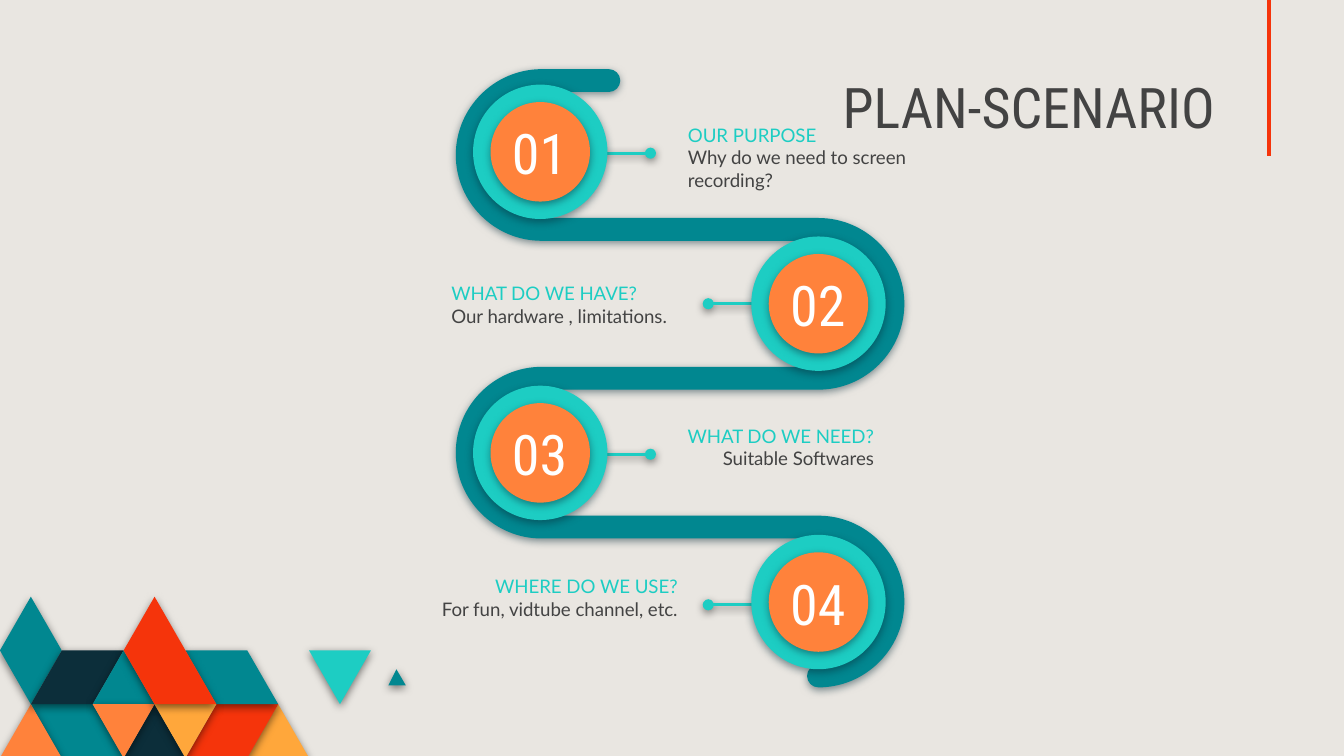
from math import cos, radians, sin

from lxml.etree import SubElement
from pptx import Presentation
from pptx.dml.color import RGBColor
from pptx.enum.shapes import MSO_CONNECTOR, MSO_SHAPE
from pptx.enum.text import MSO_ANCHOR as ANCHOR, PP_ALIGN as ALIGN
from pptx.oxml.ns import qn
from pptx.util import Inches, Pt

TEAL, AQUA, ORANGE = "018790", "1DCDC3", "FF823B"
RED, AMBER, NAVY = "F5340B", "FFA73B", "0C2E3A"
GREY, WHITE, PAPER, BLACK = "434343", "FFFFFF", "E9E6E1", "000000"
HEAD_FONT, BODY_FONT = "Roboto Condensed", "Lato"

# Outlines on a grid of half triangle widths (columns) and triangle heights (rows)
MOSAIC = [
    (AMBER, [(10, 3), (9, 2), (8, 3)]),
    (RED, [(9, 2), (7, 2), (6, 3), (8, 3)]),
    (TEAL, [(4, 3), (3, 2), (1, 2), (2, 3)]),
    (ORANGE, [(2, 3), (1, 2), (0, 3)]),
    (NAVY, [(6, 3), (5, 2), (4, 3)]),
    (TEAL, [(9, 2), (8, 1), (6, 1), (7, 2)]),
    (AQUA, [(12, 1), (10, 1), (11, 2)]),
    (TEAL, [(2, 1), (1, 0), (0, 1), (1, 2)]),
    (NAVY, [(4, 1), (2, 1), (1, 2), (3, 2)]),
    (TEAL, [(5, 2), (4, 1), (3, 2)]),
    (ORANGE, [(5, 2), (3, 2), (4, 3)]),
    (AMBER, [(7, 2), (5, 2), (6, 3)]),
    (RED, [(7, 2), (6, 1), (5, 0), (4, 1), (5, 2)]),
]

# Centre, heading, detail, alignment and text box of each stop
STOPS = [
    (4.02, 1.13, "OUR PURPOSE", "Why do we need to screen recording?",
     ALIGN.LEFT, (5.02, 0.82, 1.85, 0.63)),
    (6.09, 2.26, "WHAT DO WE HAVE?", "Our hardware , limitations.",
     ALIGN.LEFT, (3.26, 2, 2.17, 0.63)),
    (4.02, 3.37, "WHAT DO WE NEED?", "Suitable Softwares",
     ALIGN.RIGHT, (4.71, 3.06, 1.89, 0.63)),
    (6.09, 4.48, "WHERE DO WE USE?", "For fun, vidtube channel, etc.",
     ALIGN.RIGHT, (2.68, 4.18, 2.46, 0.63)),
]


def rgb(color):
    return RGBColor.from_string(color)


def add_effects(shape, shadow=None):
    """Replace the theme's effects by a soft shadow below, or by none."""
    effects = SubElement(shape.element.spPr, qn("a:effectLst"))
    if shadow:
        outer = SubElement(effects, qn("a:outerShdw"), blurRad=str(Pt(4.5)), dist=str(Pt(1.5)),
                           dir="5400000", algn="bl", rotWithShape="0")
        tint = SubElement(outer, qn("a:srgbClr"), val=shadow)
        SubElement(tint, qn("a:alpha"), val="50000")


def paint(shape, color, shadow):
    shape.fill.solid()
    shape.fill.fore_color.rgb = rgb(color)
    shape.line.fill.background()
    add_effects(shape, shadow)


def add_polygon(slide, points, color, shadow):
    first, *rest = [(Inches(x), Inches(y)) for x, y in points]
    builder = slide.shapes.build_freeform(*first)
    builder.add_line_segments(rest, close=True)
    sp = builder.convert_to_shape()
    paint(sp, color, shadow)
    return sp


def add_circle(slide, cx, cy, size, color):
    sp = slide.shapes.add_shape(MSO_SHAPE.OVAL, Inches(cx - size / 2), Inches(cy - size / 2),
                                Inches(size), Inches(size))
    paint(sp, color, NAVY)


def add_line(slide, x1, y1, x2, y2, color, width, shadow=None, dot=False):
    line = slide.shapes.add_connector(MSO_CONNECTOR.STRAIGHT, Inches(x1), Inches(y1),
                                      Inches(x2), Inches(y2))
    line.line.color.rgb = rgb(color)
    line.line.width = Pt(width)
    if dot:
        SubElement(line.element.spPr.find(qn("a:ln")), qn("a:tailEnd"), type="oval")
    add_effects(line, shadow)


def add_text(slide, box, text, font, size, colors, align, anchor=ANCHOR.TOP):
    """Write text whose lines, parted by a vertical tab, take one colour each."""
    tf = slide.shapes.add_textbox(*map(Inches, box)).text_frame
    tf.word_wrap = True
    tf.vertical_anchor = anchor
    tf.margin_left = tf.margin_right = tf.margin_top = tf.margin_bottom = Inches(0.1)
    p = tf.paragraphs[0]
    p.text = text
    p.alignment = align
    for r, color in zip(p.runs, colors):
        r.font.name = font
        r.font.size = Pt(size)
        r.font.color.rgb = rgb(color)


def add_mosaic(slide, left, top, col, row):
    for color, cells in MOSAIC:
        add_polygon(slide, [(left + c * col, top + r * row) for c, r in cells], color, BLACK)
    add_polygon(slide, [(3.02, 5.1), (2.95, 4.98), (2.89, 5.1)], TEAL, BLACK)


def add_title(slide, box):
    add_line(slide, 9.44, 0, 9.44, 1.16, RED, 2.25)
    add_text(slide, box, "PLAN-SCENARIO", HEAD_FONT, 30, [GREY], ALIGN.RIGHT, ANCHOR.BOTTOM)


def half_circle(cx, cy, radius, turn, start=-90):
    """Return the start and the six Bezier points of two quarters; turn is 1 or -1."""
    pull = 0.55 * turn
    points = []
    for i in range(3):
        a = radians(start + 90 * turn * i)
        x, y = cos(a), sin(a)
        node = [(x + pull * y, y - pull * x), (x, y), (x - pull * y, y + pull * x)]
        points += [(cx + radius * u, cy + radius * v) for u, v in node]
    return points[1:-1]


def curve_outline(sp):
    """Turn the six points after each half circle's start into two curves."""
    outline = sp.element.find(".//" + qn("a:path"))
    nodes = [node for node in outline if node.tag != qn("a:close")]
    for start in range(0, len(nodes), 7):
        for first in (start + 1, start + 4):
            curve = SubElement(outline, qn("a:cubicBezTo"))
            nodes[first].addprevious(curve)
            for node in nodes[first:first + 3]:
                curve.append(node[0])
                outline.remove(node)


def add_ribbon(slide, left, right, top, bottom, half, lead):
    """Draw a winding band of four half circles between two centre line heights."""
    bend = (bottom - top) / 8

    def edge(offset):
        points = []
        for i in range(4):
            cy = top + bend * (2 * i + 1)
            if i % 2:
                points += half_circle(right, cy, bend - offset, 1)
            else:
                points += half_circle(left, cy, bend + offset, -1)
        return points

    start_cap = half_circle(left + lead, top, half, -1, start=90)
    end_cap = half_circle(right, bottom, half, -1)
    outline = start_cap + edge(half) + end_cap + edge(-half)[::-1]
    curve_outline(add_polygon(slide, outline, TEAL, NAVY))


def add_stop(slide, number, stop):
    cx, cy, heading, detail, align, box = stop
    add_circle(slide, cx, cy, 1, AQUA)
    add_circle(slide, cx, cy, 0.74, ORANGE)
    add_text(slide, (cx - 0.33, cy - 0.31, 0.65, 0.63), f"{number:02}", HEAD_FONT, 30,
             [WHITE], ALIGN.CENTER, ANCHOR.MIDDLE)
    add_text(slide, box, f"{heading}\v{detail}", BODY_FONT, 10, [AQUA, GREY], align)


def add_route(slide, left, right, top, bottom):
    for i, (cx, *_) in enumerate(STOPS):
        side = -1 if i % 2 else 1
        y = 1.14 + 1.12 * i
        add_line(slide, cx + side * 0.33, y, cx + side * 0.82, y, AQUA, 1.5, BLACK, dot=True)
    add_ribbon(slide, left, right, top, bottom, half=0.085, lead=0.5)
    for number, stop in enumerate(STOPS, 1):
        add_stop(slide, number, stop)


def main():
    prs = Presentation()
    prs.slide_width, prs.slide_height = Inches(10), Inches(5.625)
    s = prs.slides.add_slide(prs.slide_layouts[6])
    s.background.fill.solid()
    s.background.fill.fore_color.rgb = rgb(PAPER)
    add_mosaic(s, left=0, top=4.44, col=0.23, row=0.4)
    add_title(s, (5, 0.51, 4.14, 0.63))
    add_route(s, left=4.03, right=6.09, top=0.6, bottom=5.03)
    prs.save("out.pptx")


if __name__ == "__main__":
    main()
